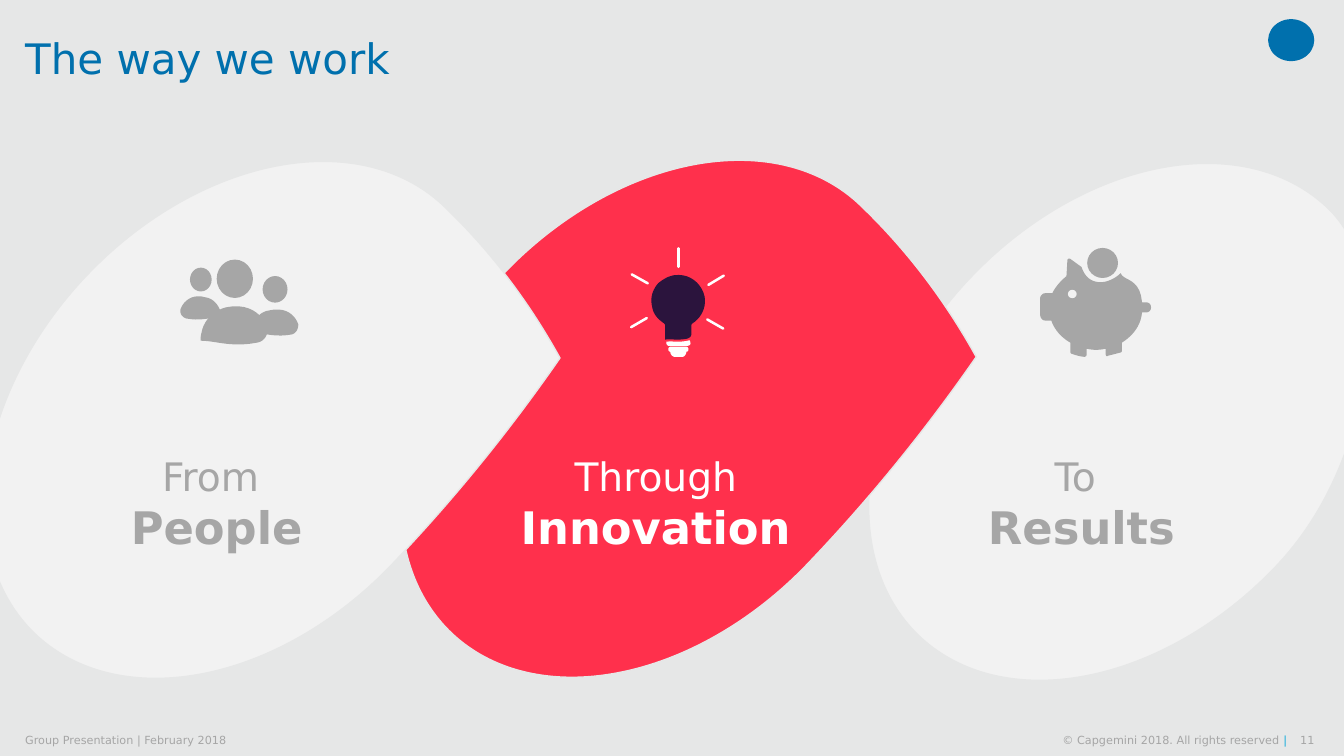
from dataclasses import dataclass

from lxml.etree import SubElement
from pptx import Presentation
from pptx.dml.color import RGBColor
from pptx.enum.shapes import MSO_CONNECTOR, MSO_SHAPE
from pptx.enum.text import MSO_ANCHOR, MSO_AUTO_SIZE, PP_ALIGN
from pptx.oxml.ns import qn
from pptx.util import Pt


@dataclass(frozen=True)
class Theme:
    """Colours, font and type sizes of the deck."""
    font: str = "DejaVu Sans"
    back: str = "E6E7E7"
    pale: str = "F2F2F2"
    gray: str = "A6A6A6"
    blue: str = "0070AD"
    cyan: str = "12ABDB"
    red: str = "FF304C"
    dark: str = "2B143D"
    white: str = "FFFFFF"
    title: int = 30
    lead: int = 28
    word: int = 32
    foot: int = 8


SIDES = [
    [(208.1, 239), (211.7, 238.3, 213.1, 234.7, 213.1, 231.8),
     (211, 225.4, 204.5, 218.9, 192.2, 221.8),
     (186.5, 222.5, 181.4, 227.5, 180.7, 233.3),
     (180, 234.7, 180, 236.2, 180, 237.6),
     (187.9, 237.6, 195.1, 241.2, 208.1, 239)],
    [(133.2, 227.5), (130.3, 226.8, 128.2, 223.9, 128.9, 221),
     (131, 215.3, 136.8, 209.5, 146.9, 212.4),
     (151.9, 213.1, 156.2, 217.4, 157.7, 223.2),
     (157.7, 223.9, 158.4, 225.4, 157.7, 226.8),
     (151.2, 226.1, 144.7, 229.7, 133.2, 227.5)],
    [(143.3, 243.4), (143.3, 241.9, 143.3, 239.8, 144, 237.6),
     (145.4, 229, 152.6, 221.8, 161.3, 219.6),
     (177.8, 216, 187.2, 224.6, 190.8, 233.3),
     (192.2, 239, 188.6, 244.1, 183.6, 244.8),
     (164.9, 248.4, 154.1, 243.4, 143.3, 243.4)],
]
HEADS = [(154.8, 185.4, 25.9, 27.4), (187.6, 197.2, 17.8, 19), (135.7, 191.2, 15.5, 17)]

PIG = [
    (818.6, 216), (815.8, 216), (814.3, 198, 802.1, 200.9, 800.6, 195.1),
    (797, 198.7, 791.3, 201.6, 786.2, 201.6),
    (779, 201.6, 774.7, 197.3, 772.6, 190.8), (764.6, 185),
    (763.9, 184.3, 762.5, 185, 762.5, 185.8), (761.8, 197.3),
    (757.4, 200.9, 753.8, 205.2, 751.7, 209.5), (746.6, 209.5),
    (744.5, 209.5, 743, 211.7, 743, 213.1), (743, 224.6),
    (743, 226.8, 744.5, 229, 746.6, 229), (751, 229),
    (753.1, 235.4, 758.2, 241.2, 764.6, 244.8), (764.6, 251.3),
    (764.6, 252, 764.6, 252, 765.4, 252.7),
    (767.5, 253.4, 771.8, 254.9, 774.7, 254.9),
    (775.4, 254.9, 776.2, 254.2, 776.2, 253.4), (776.2, 249.1),
    (780.5, 250.2, 785.5, 250.2, 789.8, 249.1), (789.8, 252.7),
    (789.8, 254.2, 790.6, 254.9, 791.3, 254.2), (799.9, 252),
    (800.6, 252, 801.4, 251.3, 801.4, 250.6), (801.4, 244.8),
    (809.3, 239.8, 815, 232.6, 815.8, 223.2), (818.6, 223.2),
    (820.8, 223.2, 822.2, 221.8, 822.2, 219.6),
    (822.2, 217.4, 820.8, 216, 818.6, 216),
]

BULB = [
    (503.3, 211.7), (501.1, 202.3, 492.5, 195.1, 481.7, 196.6),
    (477.4, 197.3, 473.8, 199.4, 470.2, 202.3),
    (465.8, 207.4, 464.4, 213.1, 465.8, 218.9),
    (466.6, 224.6, 470.2, 228.2, 474.5, 231.1),
    (475.2, 231.8, 475.2, 232.6, 475.2, 233.3), (475.2, 242.6),
    (479.5, 241.9, 483.8, 243.4, 491, 241.9),
    (492.5, 241.2, 493.9, 240.5, 493.9, 238.3), (493.9, 233.3),
    (493.9, 231.8, 493.9, 231.8, 494.6, 231.1),
    (501.1, 226.8, 504.7, 219.6, 503.3, 211.7),
]
CAP = [
    (475.9, 244.1), (480.2, 243.4, 483.8, 244.8, 491, 243.4), (492.5, 243),
    (493.2, 244, 493.3, 245, 493.2, 245.5), (493, 246.5, 492, 247, 491, 247),
    (477.4, 247), (476, 246.5, 475.9, 245, 475.9, 244.1),
]
BASE = [
    (490.3, 251.3), (490.3, 253.4, 488.2, 255.6, 486.7, 254.9), (483.1, 254.9),
    (481, 255.6, 478.8, 253.4, 478.8, 251.3),
    (476.9, 251.3, 477, 247.7, 478.8, 247.7), (490.3, 247.7),
    (492.3, 247.7, 492.3, 251.3, 490.3, 251.3),
]
RAYS = [(484.6, 177.4, 484.6, 190.6), (451.3, 196, 462.7, 202.4),
        (450.8, 233.7, 462, 227.2), (505.2, 228.2, 516.6, 234.7),
        (506, 203.5, 517, 196.9)]


def trace(steps, count=10):
    """Turn line and cubic steps into points."""
    spots = [steps[0]]
    for step in steps[1:]:
        if len(step) == 2:
            spots.append(step)
            continue
        knots = [spots[-1], step[:2], step[2:4], step[4:]]
        for i in range(1, count + 1):
            t = i / count
            parts = ((1 - t) ** 3, 3 * t * (1 - t) ** 2, 3 * t * t * (1 - t), t ** 3)
            spots.append(tuple(sum(w * k[a] for w, k in zip(parts, knots)) for a in (0, 1)))
    return [(Pt(x), Pt(y)) for x, y in spots]


class Page:
    """Draws styled elements on the current slide."""

    def __init__(self, slide, theme):
        """Keep the slide and theme and paint the background."""
        self.slide, self.theme, self.shapes = slide, theme, slide.shapes
        self.paint(slide.background.fill, theme.back)

    def paint(self, fill, color):
        """Fill with one solid colour."""
        fill.solid()
        fill.fore_color.rgb = RGBColor.from_string(color)

    def finish(self, shape, color):
        """Give a shape a plain fill without line or shadow."""
        shape.shadow.inherit = False
        self.paint(shape.fill, color)
        shape.line.fill.background()
        return shape

    def oval(self, box, color):
        """Add an ellipse."""
        return self.finish(self.shapes.add_shape(MSO_SHAPE.OVAL, *map(Pt, box)), color)

    def petal(self, left, top, tip, color):
        """Add a large turned teardrop."""
        drop = self.shapes.add_shape(
            MSO_SHAPE.TEAR, Pt(left), Pt(top), Pt(422.6), Pt(300.2))
        self.finish(drop, color)
        drop.adjustments[0] = tip
        drop.rotation = 133.7
        drop.element.spPr.find(qn("a:xfrm")).set("flipH", "1")
        self.paint(drop.line.fill, self.theme.back)
        drop.line.width = Pt(1)

    def curve(self, steps, color):
        """Add a curved outline."""
        first, *rest = trace(steps)
        pen = self.shapes.build_freeform(*first)
        pen.add_line_segments(rest, close=True)
        self.finish(pen.convert_to_shape(), color)

    def ray(self, ends, color):
        """Add a short line with round ends."""
        line = self.shapes.add_connector(MSO_CONNECTOR.STRAIGHT, *map(Pt, ends))
        self.paint(line.line.fill, color)
        line.line.width = Pt(1.8)
        props = line.element.spPr
        props.find(qn("a:ln")).set("cap", "rnd")
        SubElement(props, qn("a:effectLst"))

    def run(self, para, text, size, color, bold=False):
        """Add one run of text."""
        run = para.add_run()
        run.text = text
        font = run.font
        font.name, font.size, font.bold = self.theme.font, Pt(size), bold
        font.color.rgb = RGBColor.from_string(color)

    def frame(self, shape, box, align, anchor, inset=True):
        """Place a text shape and return its first paragraph."""
        shape.left, shape.top, shape.width, shape.height = map(Pt, box)
        text = shape.text_frame
        text.word_wrap = True
        text.auto_size = MSO_AUTO_SIZE.NONE
        text.vertical_anchor = anchor
        if not inset:
            text.margin_left = text.margin_right = text.margin_top = text.margin_bottom = 0
        para = text.paragraphs[0]
        para.alignment = align
        return para

    def title(self, text):
        """Fill the title placeholder."""
        para = self.frame(self.shapes.title, (18, 0, 876, 87), PP_ALIGN.LEFT,
                          MSO_ANCHOR.MIDDLE, False)
        para.line_spacing = 0.9
        self.run(para, text, self.theme.title, self.theme.blue)

    def label(self, left, width, lead, word, color):
        """Add a light lead with a bold word below."""
        box = (left, 319.7, width, 80)
        para = self.frame(self.shapes.add_textbox(0, 0, 0, 0), box, PP_ALIGN.CENTER,
                          MSO_ANCHOR.TOP)
        self.run(para, lead, self.theme.lead, color)
        para.add_line_break()
        self.run(para, word, self.theme.word, color, True)

    def foot(self, left, width, align, *runs):
        """Add a footer line from text and colour pairs."""
        para = self.frame(self.shapes.add_textbox(0, 0, 0, 0), (left, 523.5, width, 9.5),
                          align, MSO_ANCHOR.MIDDLE, False)
        for text, color in runs:
            self.run(para, text, self.theme.foot, color)


def main():
    """Build and save the slide."""
    deck = Presentation()
    deck.slide_width, deck.slide_height = Pt(960), Pt(540)
    look = Theme()
    page = Page(deck.slides.add_slide(deck.slide_layouts[5]), look)

    page.oval((905.8, 13.7, 33, 30), look.blue)
    page.foot(925, 14, PP_ALIGN.RIGHT, ("11", look.gray))
    page.foot(710, 209.4, PP_ALIGN.RIGHT,
              ("© Capgemini 2018. All rights reserved ", look.gray), ("|", look.cyan))
    page.foot(18, 371.5, PP_ALIGN.LEFT, ("Group Presentation | February 2018", look.gray))

    page.petal(591.1, 151.2, 0.68, look.pale)
    page.oval((776.6, 177.1, 22, 21.5), look.gray)
    page.curve(PIG, look.gray)
    page.oval((762.8, 207, 6.3, 6), look.pale)
    page.title("The way we work")
    page.petal(257, 149, 0.9, look.red)
    page.petal(-40.3, 149.8, 0.9, look.pale)

    for head in HEADS:
        page.oval(head, look.gray)
    for side in SIDES:
        page.curve(side, look.gray)
    for ray in RAYS:
        page.ray(ray, look.white)
    for steps, color in ((BULB, look.dark), (CAP, look.white), (BASE, look.white)):
        page.curve(steps, color)

    page.label(333.4, 270, "Through", "Innovation", look.white)
    page.label(49, 211.7, "From ", "People", look.gray)
    page.label(645.1, 254.9, "To ", "Results", look.gray)
    deck.save("out.pptx")


if __name__ == "__main__":
    main()
